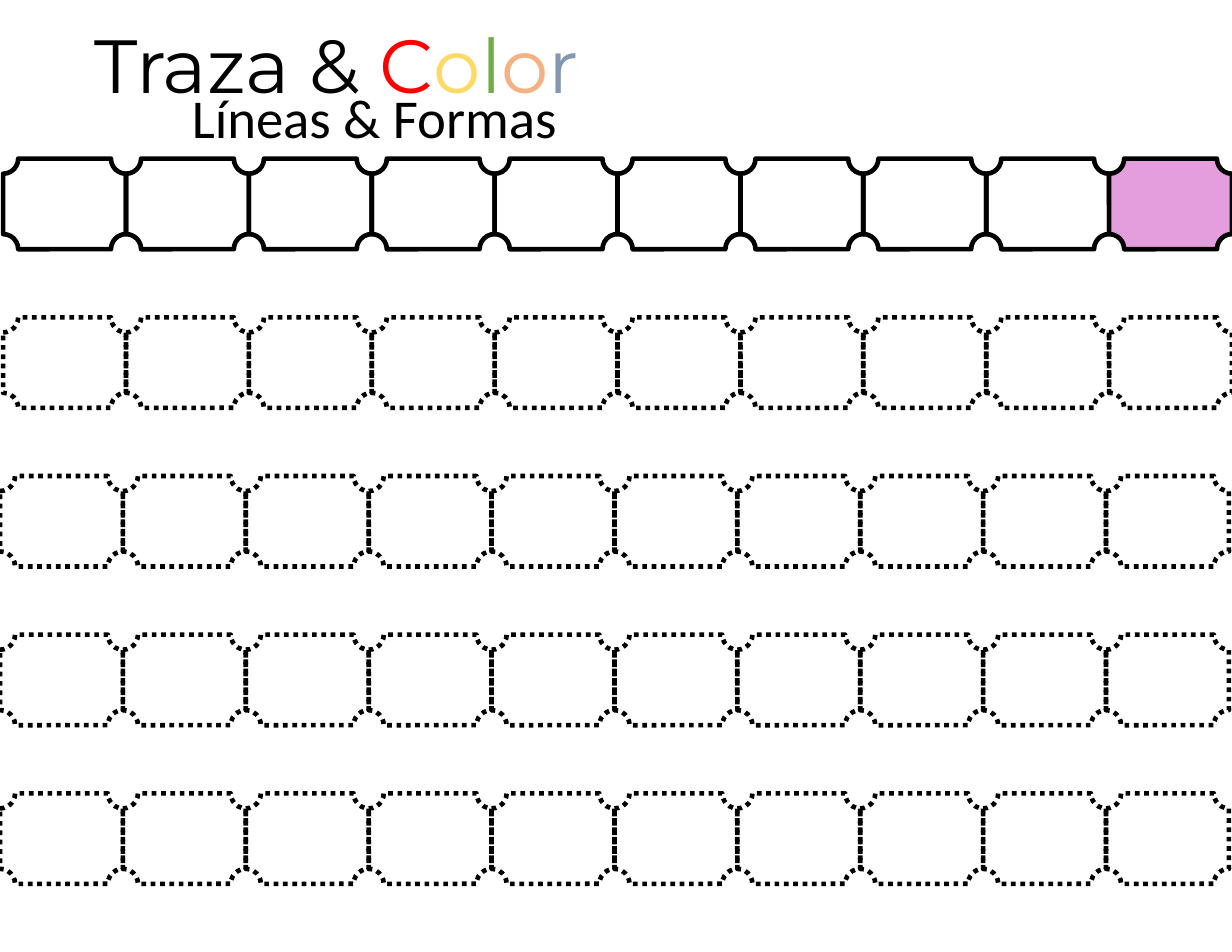
"""Build a tracing worksheet with one solid and four dotted rows of plaques."""
from pptx import Presentation
from pptx.dml.color import RGBColor
from pptx.enum import dml, shapes, text
from pptx.util import Pt

BLACK = RGBColor(0x00, 0x00, 0x00)
RED = RGBColor(0xFF, 0x00, 0x00)
YELLOW = RGBColor(0xFF, 0xD9, 0x66)
GREEN = RGBColor(0x70, 0xAD, 0x47)
ORANGE = RGBColor(0xF4, 0xB1, 0x83)
BLUE = RGBColor(0x84, 0x97, 0xB0)
PINK = RGBColor(0xE5, 0x9E, 0xDD)

TITLE_RUNS = [("Traza & ", BLACK), ("C", RED), ("o", YELLOW),
              ("l", GREEN), ("o", ORANGE), ("r", BLUE)]
SUBTITLE_RUNS = [("Líneas & Formas", BLACK)]

ROW_LEFTS = [2, 2, 0, 0, 0]
COLUMNS = 10
ROW_PITCH = 102
PLAQUE_WIDTH, PLAQUE_HEIGHT = 79, 58.2


def write_heading(shape, box, runs, font_name, size, alignment):
    shape.left, shape.top, shape.width, shape.height = map(Pt, box)
    frame = shape.text_frame
    frame.word_wrap = True
    frame.auto_size = text.MSO_AUTO_SIZE.SHAPE_TO_FIT_TEXT
    frame.vertical_anchor = text.MSO_ANCHOR.TOP
    paragraph = frame.paragraphs[0]
    paragraph.alignment = alignment
    for words, color in runs:
        run = paragraph.add_run()
        run.text = words
        run.font.name = font_name
        run.font.size = Pt(size)
        run.font.color.rgb = color


def add_plaque(group, left, top, dotted, fill_color):
    plaque = group.shapes.add_shape(shapes.MSO_SHAPE.PLAQUE, Pt(left), Pt(top),
                                    Pt(PLAQUE_WIDTH), Pt(PLAQUE_HEIGHT))
    plaque.shadow.inherit = False
    plaque.line.color.rgb = BLACK
    plaque.line.width = Pt(3)
    if dotted:
        plaque.line.dash_style = dml.MSO_LINE.ROUND_DOT
    if fill_color:
        plaque.fill.solid()
        plaque.fill.fore_color.rgb = fill_color
    else:
        plaque.fill.background()


def main():
    presentation = Presentation()
    presentation.slide_width, presentation.slide_height = Pt(792), Pt(612)
    slide = presentation.slides.add_slide(presentation.slide_layouts[5])

    for row, row_left in enumerate(ROW_LEFTS):
        group = slide.shapes.add_group_shape()
        for column in range(COLUMNS):
            is_sample = row == 0 and column == COLUMNS - 1
            add_plaque(group, row_left + column * PLAQUE_WIDTH, (row + 1) * ROW_PITCH,
                       dotted=row > 0, fill_color=PINK if is_sample else None)

    subtitle = slide.shapes.add_textbox(0, 0, 0, 0)
    write_heading(subtitle, (56.2, 50.4, 368.6, 49.7), SUBTITLE_RUNS,
                  "Calibri", 35.2, text.PP_ALIGN.CENTER)
    write_heading(slide.shapes.title, (53.3, 7.9, 385.9, 66.2), TITLE_RUNS,
                  "Montserrat", 48.4, text.PP_ALIGN.LEFT)
    presentation.save("out.pptx")


if __name__ == "__main__":
    main()
